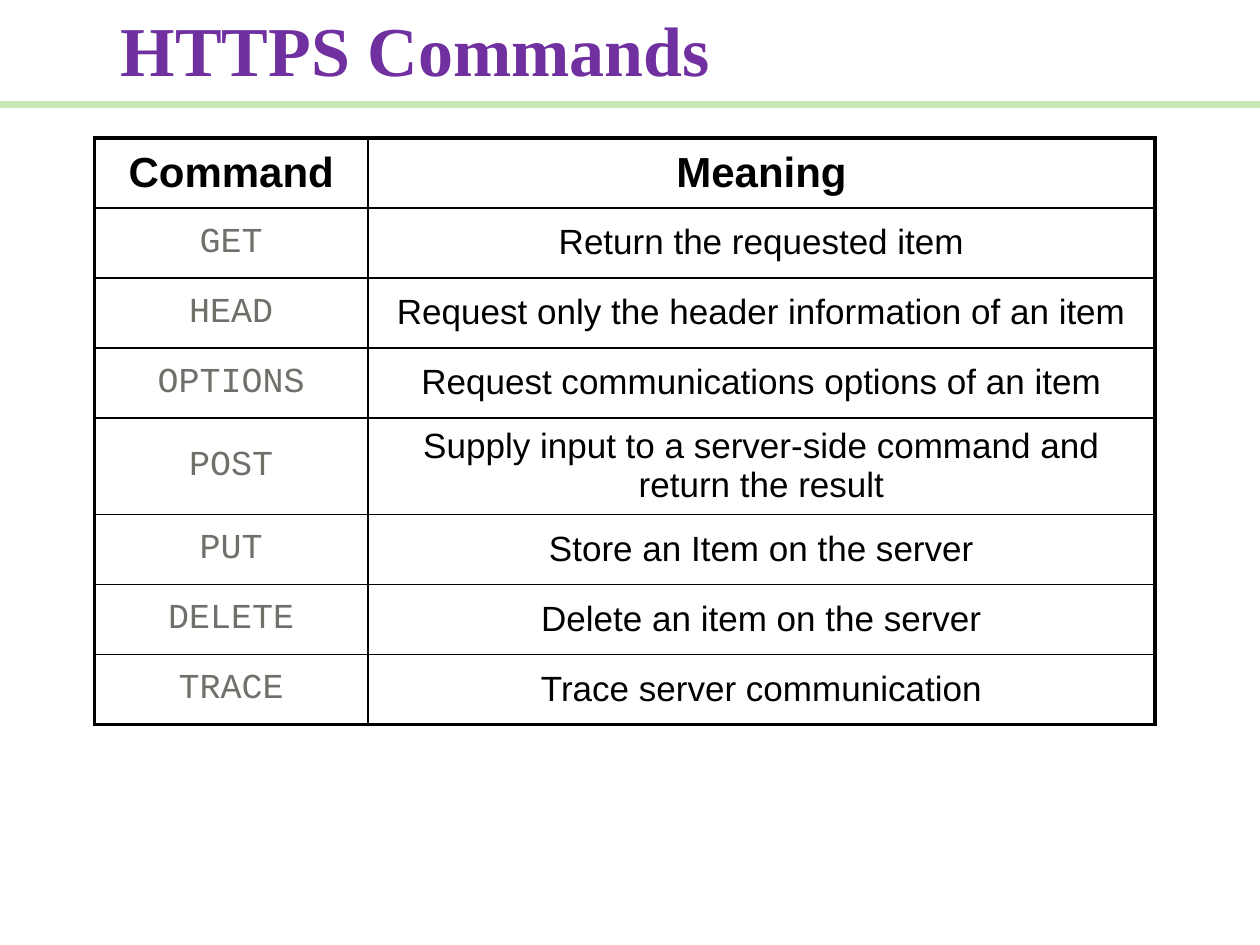
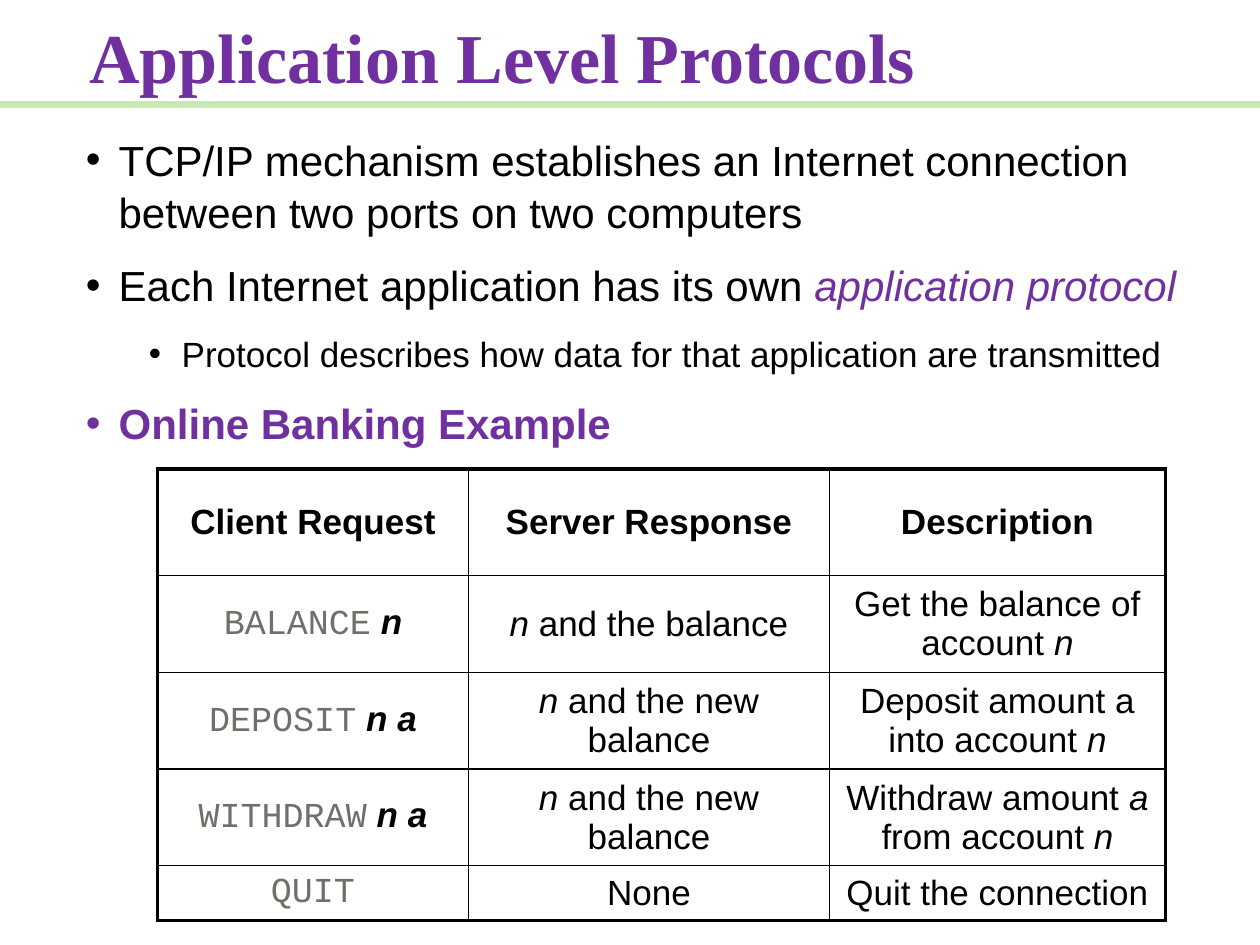
from lxml.etree import SubElement
from pptx import Presentation
from pptx.dml.color import RGBColor
from pptx.enum.shapes import MSO_CONNECTOR
from pptx.enum.text import MSO_ANCHOR, MSO_AUTO_SIZE, PP_ALIGN
from pptx.oxml.ns import qn
from pptx.util import Pt

COLORS = {"black": "000000", "purple": "7030A0", "gray": "6E7069", "green": "C6E8B4"}
STYLES = {
    "title": ("Times New Roman", "purple", True, False),
    "plain": ("Arial", "black", False, False),
    "bold": ("Arial", "black", True, False),
    "italic": ("Arial", "black", False, True),
    "argument": ("Arial", "black", True, True),
    "term": ("Arial", "purple", False, True),
    "topic": ("Arial", "purple", True, False),
    "code": ("Courier New", "gray", False, False),
}
SLIDE_WIDTH, SLIDE_HEIGHT = 720, 540
RULE_Y = 59.9
OUTER_BORDER, INNER_BORDER = 2.25, 1

COMMANDS = [
    ("GET", "Return the requested item"),
    ("HEAD", "Request only the header information of an item"),
    ("OPTIONS", "Request communications options of an item"),
    ("POST", "Supply input to a server-side command and return the result"),
    ("PUT", "Store an Item on the server"),
    ("DELETE", "Delete an item on the server"),
    ("TRACE", "Trace server communication"),
]
PROTOCOL_POINTS = [
    (0, [("TCP/IP mechanism establishes an Internet connection "
          "between two ports on two computers", "plain")]),
    (0, [("Each Internet application has its own ", "plain"),
         ("application protocol", "term")]),
    (1, [("Protocol describes how data for that application are transmitted", "plain")]),
    (0, [("Online Banking Example", "topic")]),
]
BANKING = [
    ([("BALANCE", "code"), (" n", "argument")],
     [("n", "italic"), (" and the balance", "plain")],
     [("Get the balance of account ", "plain"), ("n", "italic")]),
    ([("DEPOSIT", "code"), (" n a", "argument")],
     [("n", "italic"), (" and the new balance", "plain")],
     [("Deposit amount a into account ", "plain"), ("n", "italic")]),
    ([("WITHDRAW", "code"), (" n a", "argument")],
     [("n", "italic"), (" and the new balance", "plain")],
     [("Withdraw amount ", "plain"), ("a", "italic"),
      (" from account ", "plain"), ("n", "italic")]),
    ([("QUIT", "code")], [("None", "plain")], [("Quit the connection", "plain")]),
]


def rgb(color):
    return RGBColor.from_string(COLORS[color])


def write(paragraph, pieces, size):
    for text, style in pieces:
        run = paragraph.add_run()
        run.text = text
        font, color, bold, italic = STYLES[style]
        run.font.name, run.font.size = font, Pt(size)
        run.font.bold, run.font.italic = bold, italic
        run.font.color.rgb = rgb(color)


def add_text_frame(slide, box):
    frame = slide.shapes.add_textbox(*map(Pt, box)).text_frame
    frame.word_wrap = True
    frame.auto_size = MSO_AUTO_SIZE.SHAPE_TO_FIT_TEXT
    return frame


def add_titled_slide(deck, title, box):
    slide = deck.slides.add_slide(deck.slide_layouts[6])
    rule = slide.shapes.add_connector(
        MSO_CONNECTOR.STRAIGHT, 0, Pt(RULE_Y), Pt(SLIDE_WIDTH), Pt(RULE_Y))
    rule.line.color.rgb = rgb("green")
    rule.line.width = Pt(4)
    SubElement(rule._element.spPr, qn("a:effectLst"))
    write(add_text_frame(slide, box).paragraphs[0], [(title, "title")], 40)
    return slide


def add_bullets(slide, box, points):
    frame = add_text_frame(slide, box)
    for index, (level, pieces) in enumerate(points):
        paragraph = frame.add_paragraph() if index else frame.paragraphs[0]
        paragraph.level = level
        paragraph.line_spacing = 1.04
        paragraph.space_before = Pt(12)
        properties = paragraph._p.get_or_add_pPr()
        properties.set("marL", str(Pt(18.75 + 36 * level)))
        properties.set("indent", str(-Pt(18.75)))
        SubElement(properties, qn("a:buFont"), typeface="Arial")
        SubElement(properties, qn("a:buChar"), char="•")
        write(paragraph, pieces, 20 if level else 24)


def set_borders(cell, widths):
    properties = cell._tc.get_or_add_tcPr()
    for side, width in zip("LRTB", widths):
        border = SubElement(properties, qn(f"a:ln{side}"), w=str(Pt(width)))
        fill = SubElement(border, qn("a:solidFill"))
        SubElement(fill, qn("a:srgbClr"), val=COLORS["black"])


def add_grid(slide, left, top, widths, heights, rows, header_size):
    table = slide.shapes.add_table(
        len(heights), len(widths), Pt(left), Pt(top),
        Pt(sum(widths)), Pt(sum(heights))).table
    table.first_row = table.horz_banding = False
    for column, width in zip(table.columns, widths):
        column.width = Pt(width)
    for r, (height, pieces_row) in enumerate(zip(heights, rows)):
        table.rows[r].height = Pt(height)
        for c, pieces in enumerate(pieces_row):
            cell = table.cell(r, c)
            edges = (c == 0, c == len(widths) - 1, r == 0, r == len(heights) - 1)
            set_borders(cell, [OUTER_BORDER if edge else INNER_BORDER for edge in edges])
            cell.fill.background()
            cell.vertical_anchor = MSO_ANCHOR.MIDDLE
            paragraph = cell.text_frame.paragraphs[0]
            paragraph.alignment = PP_ALIGN.CENTER
            spacing = SubElement(paragraph._p.get_or_add_pPr(), qn("a:spcBef"))
            SubElement(spacing, qn("a:spcPct"), val="20000")
            write(paragraph, pieces, 20 if r else header_size)


def header(*labels):
    return [[(label, "bold")] for label in labels]


def build_commands_slide(deck):
    slide = add_titled_slide(deck, "HTTPS Commands", (62, 0, 600, 55.4))
    rows = [header("Command", "Meaning")]
    rows += [([(command, "code")], [(meaning, "plain")]) for command, meaning in COMMANDS]
    heights = [55.2 if command == "POST" else 40 for command in ("Command", *dict(COMMANDS))]
    add_grid(slide, 54, 78.75, (156.25, 449.75), heights, rows, 24)


def build_protocols_slide(deck):
    slide = add_titled_slide(deck, "Application Level Protocols", (44, 4, 600, 55.4))
    add_bullets(slide, (42, 72, 642, 184.4), PROTOCOL_POINTS)
    rows = [header("Client Request", "Server Response", "Description"), *BANKING]
    add_grid(slide, 90, 268, (177.75, 206.25, 192), (61, 55.2, 55.2, 55.2, 31), rows, 20)


def main():
    deck = Presentation()
    deck.slide_width, deck.slide_height = Pt(SLIDE_WIDTH), Pt(SLIDE_HEIGHT)
    build_commands_slide(deck)
    build_protocols_slide(deck)
    deck.save("out.pptx")


if __name__ == "__main__":
    main()
